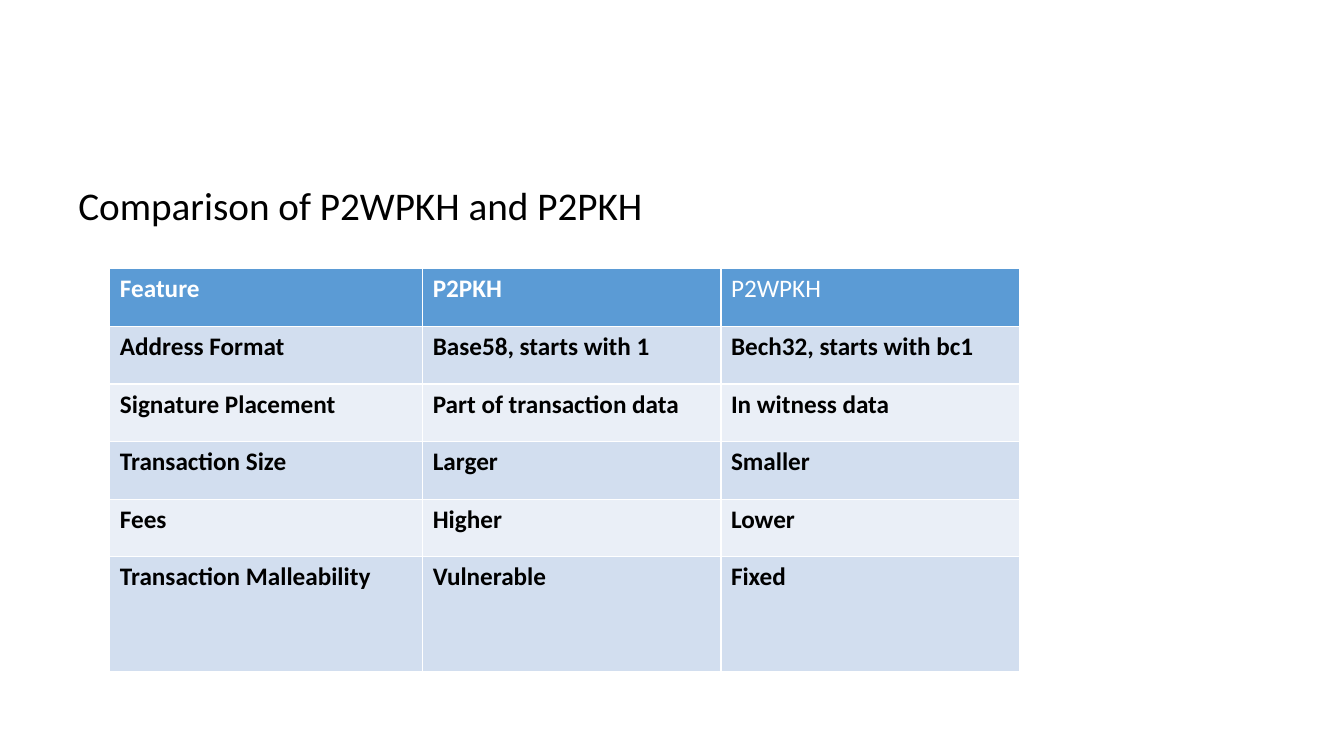
from pptx import Presentation
from pptx.dml.color import RGBColor
from pptx.enum.text import MSO_ANCHOR, MSO_AUTO_SIZE, PP_ALIGN
from pptx.util import Pt

WHITE = RGBColor(0xFF, 0xFF, 0xFF)
BLACK = RGBColor(0x00, 0x00, 0x00)
HEADER_BLUE = RGBColor(0x5B, 0x9B, 0xD5)
BAND_DARK = RGBColor(0xD2, 0xDE, 0xEF)
BAND_LIGHT = RGBColor(0xEA, 0xEF, 0xF7)

TITLE_ONLY = 5
ROW_HEIGHT = 288 / 7
COLUMN_WIDTHS = (223.5, 213, 213)
COMPARISON = (
    ("Feature", "P2PKH", "P2WPKH"),
    ("Address Format", "Base58, starts with 1", "Bech32, starts with bc1"),
    ("Signature Placement", "Part of transaction data", "In witness data"),
    ("Transaction Size", "Larger", "Smaller"),
    ("Fees", "Higher", "Lower"),
    ("Transaction Malleability", "Vulnerable", "Fixed"),
)


def write_text(frame, text, size=18, color=BLACK, bold=False, line_spacing=None):
    paragraph = frame.paragraphs[0]
    paragraph.alignment = PP_ALIGN.LEFT
    paragraph.line_spacing = line_spacing
    run = paragraph.add_run()
    run.text = text
    run.font.name = "Calibri"
    run.font.size = Pt(size)
    run.font.bold = bold
    run.font.color.rgb = color


def add_heading(slide, text):
    heading = slide.shapes.title
    heading.left, heading.top = Pt(48), Pt(126)
    heading.width, heading.height = Pt(864), Pt(391)
    frame = heading.text_frame
    frame.word_wrap = True
    frame.auto_size = MSO_AUTO_SIZE.NONE
    frame.vertical_anchor = MSO_ANCHOR.TOP
    frame.margin_left = Pt(8)
    frame.margin_top = frame.margin_right = frame.margin_bottom = Pt(7.2)
    write_text(frame, text, size=28, line_spacing=0.9)


def fill_cell(cell, text, fill, **text_format):
    cell.fill.solid()
    cell.fill.fore_color.rgb = fill
    write_text(cell.text_frame, text, **text_format)


def add_comparison(slide, rows):
    """Header row, then banded rows; the last row is twice as high."""
    table = slide.shapes.add_table(
        len(rows), len(COLUMN_WIDTHS), Pt(78.5), Pt(192),
        Pt(sum(COLUMN_WIDTHS)), Pt(ROW_HEIGHT * (len(rows) + 1)),
    ).table
    for column, width in zip(table.columns, COLUMN_WIDTHS):
        column.width = Pt(width)
    for row in table.rows:
        row.height = Pt(ROW_HEIGHT)
    table.rows[len(rows) - 1].height = Pt(2 * ROW_HEIGHT)

    for column, label in enumerate(rows[0]):
        fill_cell(table.cell(0, column), label, HEADER_BLUE,
                  color=WHITE, bold=label != "P2WPKH")
    for row, values in enumerate(rows[1:], start=1):
        band = BAND_DARK if row % 2 else BAND_LIGHT
        for column, value in enumerate(values):
            fill_cell(table.cell(row, column), value, band, bold=True)


def main():
    deck = Presentation()
    deck.slide_width, deck.slide_height = Pt(960), Pt(540)
    slide = deck.slides.add_slide(deck.slide_layouts[TITLE_ONLY])
    add_heading(slide, "Comparison of P2WPKH and P2PKH")
    add_comparison(slide, COMPARISON)
    deck.save("out.pptx")


if __name__ == "__main__":
    main()
